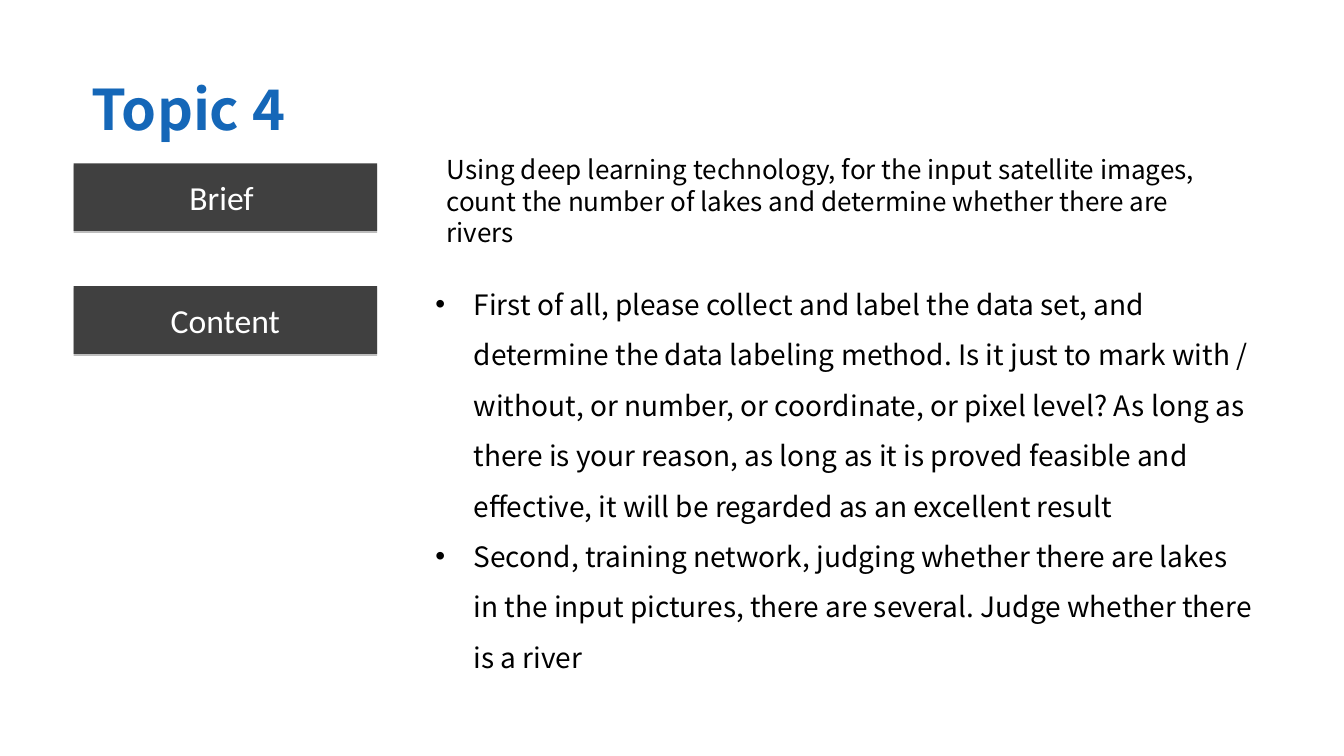
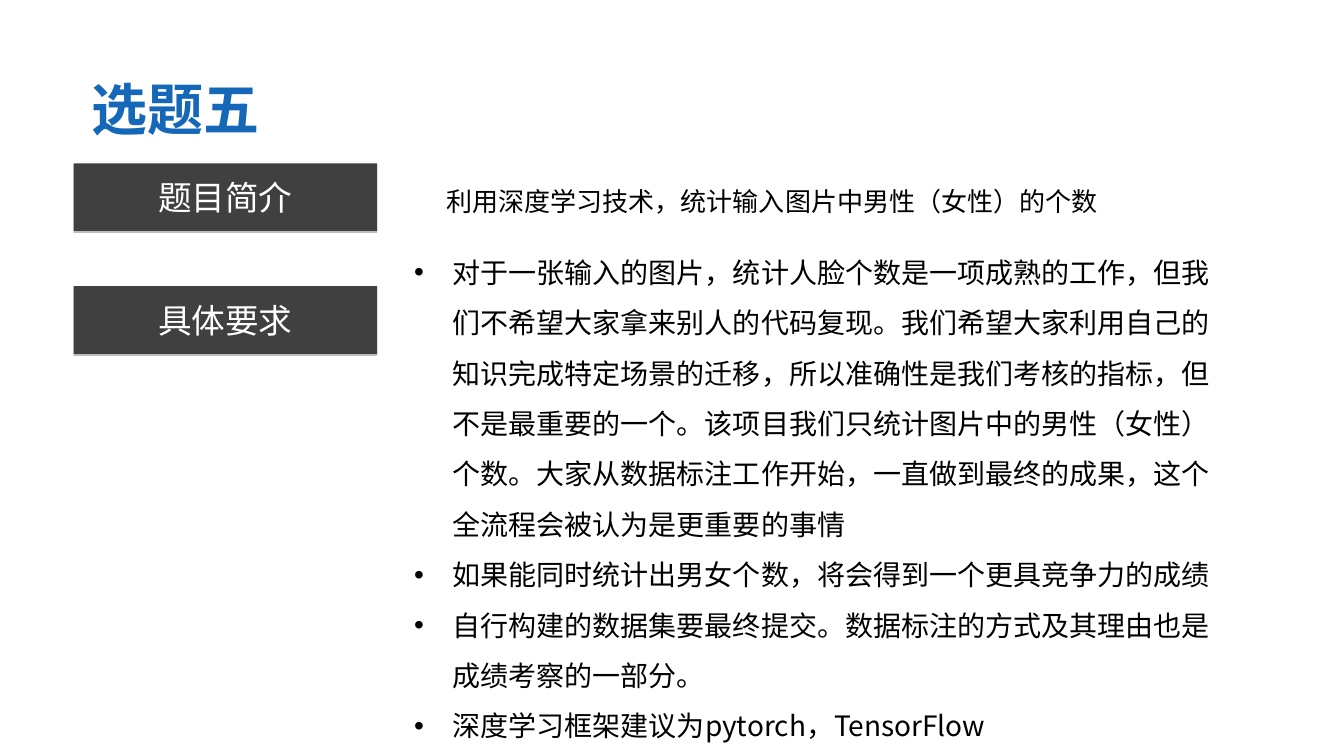
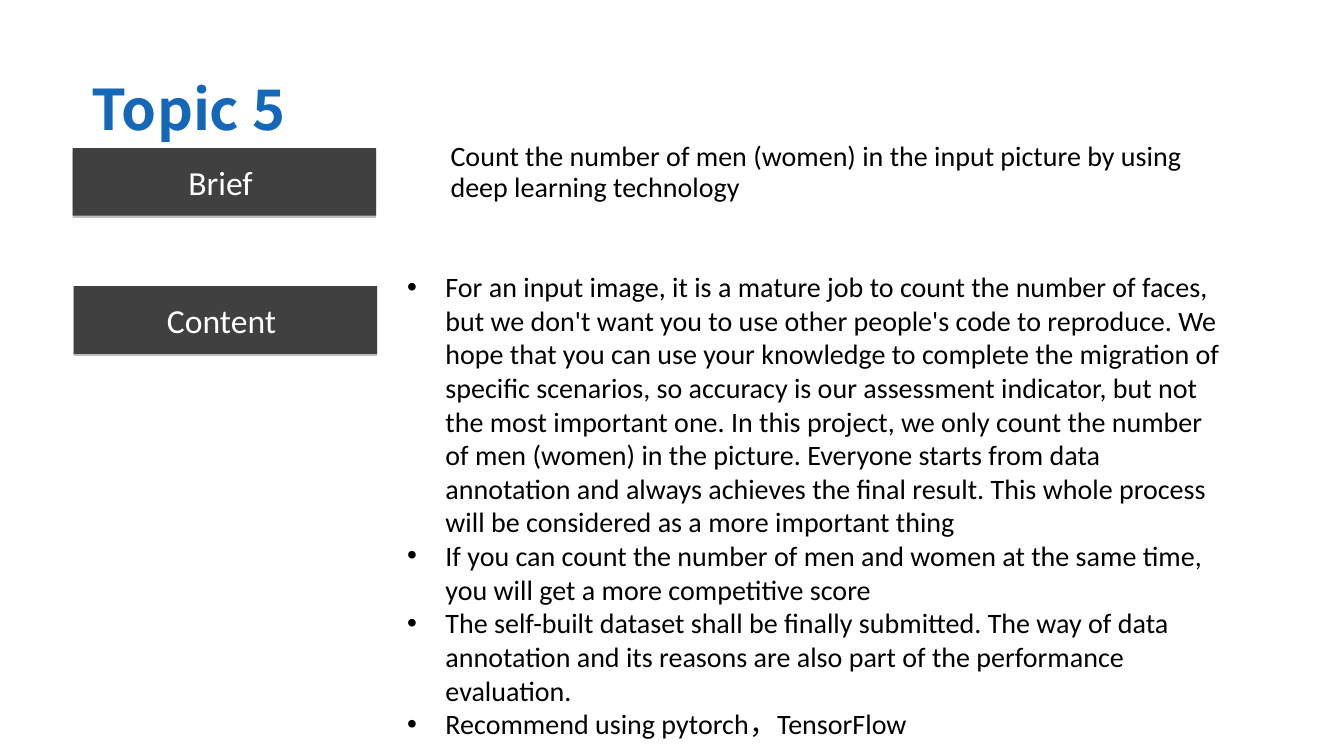
"""Build three project topic slides, each with a brief and its content."""
from dataclasses import dataclass

from lxml import etree
from pptx import Presentation
from pptx.dml.color import RGBColor
from pptx.enum.shapes import MSO_SHAPE
from pptx.enum.text import MSO_ANCHOR, PP_ALIGN
from pptx.oxml import parse_xml
from pptx.oxml.ns import nsdecls, qn
from pptx.slide import Slide
from pptx.text.text import TextFrame, _Paragraph
from pptx.util import Pt

PX = 9144
RECT = MSO_SHAPE.RECTANGLE
MIDDLE = MSO_ANCHOR.MIDDLE
LEFT, CENTER, JUSTIFY = PP_ALIGN.LEFT, PP_ALIGN.CENTER, PP_ALIGN.JUSTIFY
BLUE = RGBColor(0x15, 0x67, 0xB8)
GREY = RGBColor(0x40, 0x40, 0x40)
BLACK = RGBColor(0, 0, 0)
WHITE = RGBColor(255, 255, 255)
SANS, CJK = "Calibri", "Noto Sans CJK SC"
INDENT = 38
LABEL_W, LABEL_H = 301, 67
TITLE_BOX = (78, 73, 1060, 69)
LABEL_TWO = (73, 284)
SHADOW = (
    f'<a:effectLst {nsdecls("a")}><a:outerShdw blurRad="0" dist="20320" '
    'dir="5400000" rotWithShape="0"><a:srgbClr val="000000">'
    '<a:alpha val="25000"/></a:srgbClr></a:outerShdw></a:effectLst>'
)


@dataclass(frozen=True)
class Style:
    """Look of a paragraph."""
    name: str
    size: float
    color: RGBColor = BLACK
    bold: bool = False
    align: PP_ALIGN = LEFT
    space: float = 1.0
    bullet: bool = False


@dataclass(frozen=True)
class Block:
    """Placed text."""
    box: tuple[int, int, int, int]
    style: Style
    lines: tuple[str, ...]


@dataclass(frozen=True)
class Topic:
    """Content of one slide."""
    title: str
    labels: tuple[str, str]
    top: tuple[int, int]
    brief: Block
    content: Block


TITLE = Style(CJK, 40, BLUE, True, JUSTIFY)
LABEL = Style(SANS, 24, WHITE, align=CENTER)
BRIEF = Style(CJK, 18.6)
BRIEF_SANS = Style(SANS, 20, space=0.9)
LIST = Style(CJK, 20, space=1.5, bullet=True)
LIST_SANS = Style(SANS, 20, bullet=True)

TOPICS = (
    Topic(
        "Topic 4", ("Brief ", "Content"), (73, 162),
        Block((433, 147, 808, 104), BRIEF, (
            "Using deep learning technology, for the input satellite images, "
            "count the number of lakes and determine whether there are rivers",
        )),
        Block((422, 239, 830, 459), LIST, (
            "First of all, please collect and label the data set, and "
            "determine the data labeling method. Is it just to mark with / "
            "without, or number, or coordinate, or pixel level? As long as "
            "there is your reason, as long as it is proved feasible and "
            "effective, it will be regarded as an excellent result",
            "Second, training network, judging whether there are lakes in "
            "the input pictures, there are several. Judge whether there is "
            "a river",
        )),
    ),
    Topic(
        "选题五", ("题目简介", "具体要求"), (73, 162),
        Block((433, 178, 808, 42), BRIEF, (
            "利用深度学习技术，统计输入图片中男性（女性）的个数",
        )),
        Block((401, 229, 830, 515), LIST, (
            "对于一张输入的图片，统计人脸个数是一项成熟的工作，但我们不希望大家"
            "拿来别人的代码复现。我们希望大家利用自己的知识完成特定场景的迁移，"
            "所以准确性是我们考核的指标，但不是最重要的一个。该项目我们只统计"
            "图片中的男性（女性）个数。大家从数据标注工作开始，一直做到最终的"
            "成果，这个全流程会被认为是更重要的事情",
            "如果能同时统计出男女个数，将会得到一个更具竞争力的成绩",
            "自行构建的数据集要最终提交。数据标注的方式及其理由也是成绩考察的"
            "一部分。",
            "深度学习框架建议为pytorch，TensorFlow",
        )),
    ),
    Topic(
        "Topic 5", ("Brief ", "Content "), (72, 147),
        Block((437, 136, 808, 71), BRIEF_SANS, (
            "Count the number of men (women) in the input picture by using "
            "deep learning technology",
        )),
        Block((394, 263, 830, 476), LIST_SANS, (
            "For an input image, it is a mature job to count the number of "
            "faces, but we don't want you to use other people's code to "
            "reproduce. We hope that you can use your knowledge to complete "
            "the migration of specific scenarios, so accuracy is our "
            "assessment indicator, but not the most important one. In this "
            "project, we only count the number of men (women) in the picture. "
            "Everyone starts from data annotation and always achieves the "
            "final result. This whole process will be considered as a more "
            "important thing",
            "If you can count the number of men and women at the same time, "
            "you will get a more competitive score",
            "The self-built dataset shall be finally submitted. The way of "
            "data annotation and its reasons are also part of the performance "
            "evaluation.",
            "Recommend using pytorch，TensorFlow",
        )),
    ),
)


def emu(box: tuple[int, ...]) -> list[int]:
    """Turn px lengths into EMU."""
    return [side * PX for side in box]


def mark(para: _Paragraph) -> None:
    """Give a paragraph a hanging bullet."""
    props = para._p.get_or_add_pPr()
    props.set("marL", str(INDENT * PX))
    props.set("indent", str(-INDENT * PX))
    etree.SubElement(props, qn("a:buFont")).set("typeface", "Arial")
    etree.SubElement(props, qn("a:buChar")).set("char", "•")


def write(frame: TextFrame, lines: tuple[str, ...], style: Style) -> None:
    """Fill a frame with styled paragraphs."""
    frame.word_wrap = True
    frame.vertical_anchor = MIDDLE
    looks = {"size": Pt(style.size), "bold": style.bold, "name": style.name}
    for rank, line in enumerate(lines):
        para = frame.add_paragraph() if rank else frame.paragraphs[0]
        if style.bullet:
            mark(para)
        para.alignment = style.align
        para.line_spacing = style.space
        run = para.add_run()
        run.text = line
        for key, value in looks.items():
            setattr(run.font, key, value)
        run.font.color.rgb = style.color
        east = etree.SubElement(run._r.get_or_add_rPr(), qn("a:ea"))
        east.set("typeface", CJK)


def add_text(slide: Slide, block: Block) -> TextFrame:
    """Place a text box."""
    frame = slide.shapes.add_textbox(*emu(block.box)).text_frame
    write(frame, block.lines, block.style)
    return frame


def add_label(slide: Slide, spot: tuple[int, int], text: str) -> None:
    """Place a dark label with a thin shadow."""
    shape = slide.shapes.add_shape(RECT, *emu((*spot, LABEL_W, LABEL_H)))
    shape.fill.solid()
    shape.fill.fore_color.rgb = GREY
    shape.line.fill.background()
    shape._element.spPr.append(parse_xml(SHADOW))
    write(shape.text_frame, (text,), LABEL)


def add_title(slide: Slide, text: str) -> None:
    """Place the slide title."""
    frame = add_text(slide, Block(TITLE_BOX, TITLE, (text,)))
    pads = {"margin_left": 13, "margin_right": 13,
            "margin_top": 7, "margin_bottom": 7}
    for key, value in pads.items():
        setattr(frame, key, value * PX)


def main() -> None:
    """Draw every topic and save the deck."""
    deck = Presentation()
    deck.slide_width, deck.slide_height = emu((1333, 750))
    blank = deck.slide_layouts[6]
    for topic in TOPICS:
        slide = deck.slides.add_slide(blank)
        for spot, text in zip((topic.top, LABEL_TWO), topic.labels):
            add_label(slide, spot, text)
        add_title(slide, topic.title)
        add_text(slide, topic.brief)
        add_text(slide, topic.content)
    deck.save("out.pptx")


if __name__ == "__main__":
    main()
